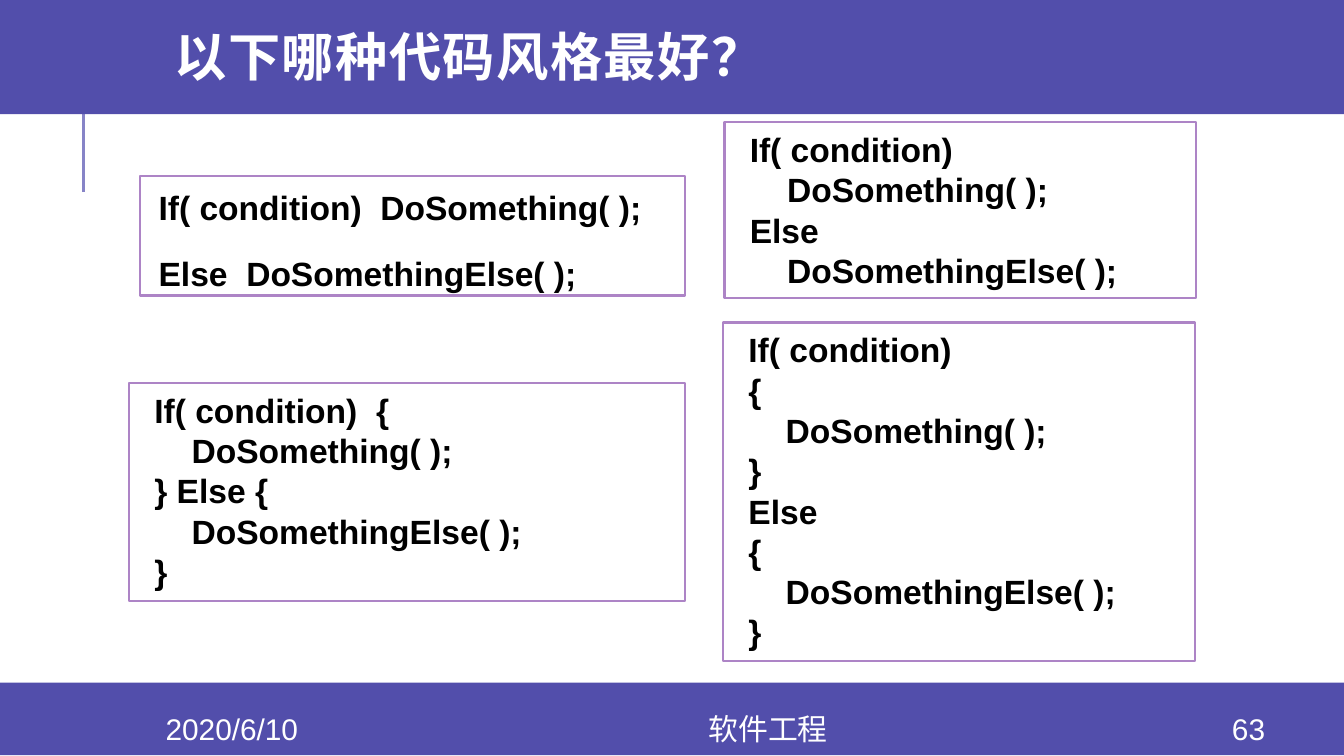
import pptx
import pptx.dml.color
import pptx.enum.shapes
import pptx.enum.text
import pptx.util
from lxml import etree
from pptx.util import Inches

COLORS = {"band": "524EAB", "rule": "8784C7", "border": "AD84C6",
          "paper": "FFFFFF", "code": "000000"}
ALIGN = pptx.enum.text.PP_ALIGN
ANCHOR = pptx.enum.text.MSO_ANCHOR
AUTO_SIZE = pptx.enum.text.MSO_AUTO_SIZE
SHAPE = pptx.enum.shapes.MSO_SHAPE
CONNECTOR = pptx.enum.shapes.MSO_CONNECTOR
DRAWING = "http://schemas.openxmlformats.org/drawingml/2006/main"


def rgb(name):
    return pptx.dml.color.RGBColor.from_string(COLORS[name])


def apply_format(target, values):
    for name, value in values.items():
        setattr(target, name, value)


def write_paragraph(paragraph, text, size, color, bold=False, font="Arial", **layout):
    run = paragraph.add_run()
    run.text = text
    apply_format(paragraph, layout)
    apply_format(run.font, {"name": font, "size": pptx.util.Pt(size), "bold": bold})
    run.font.color.rgb = rgb(color)
    return run


def add_rectangle(slide, box, fill, border=None):
    shape = slide.shapes.add_shape(SHAPE.RECTANGLE, *map(Inches, box))
    shape.shadow.inherit = False
    shape.fill.solid()
    shape.fill.fore_color.rgb = rgb(fill)
    if border:
        shape.line.color.rgb = rgb(border)
        shape.line.width = pptx.util.Pt(1.25)
    else:
        shape.line.fill.background()
    return shape


def add_accent_rule(slide, x, top, bottom):
    rule = slide.shapes.add_connector(
        CONNECTOR.STRAIGHT, Inches(x), Inches(bottom), Inches(x), Inches(top))
    rule.line.color.rgb = rgb("rule")
    rule.line.width = pptx.util.Pt(1.5)
    etree.SubElement(rule.element.spPr, f"{{{DRAWING}}}effectLst")


def add_header(slide, box, text):
    left, top, width, height = box
    add_rectangle(slide, box, "band")
    title = slide.shapes.title
    title.element.getparent().append(title.element)
    apply_format(title, {"left": Inches(left + 1.2), "top": Inches(top + 0.03),
                         "width": Inches(width - 1.51), "height": Inches(height + 0.03)})
    apply_format(title.text_frame, {"vertical_anchor": ANCHOR.MIDDLE, "word_wrap": True,
                                    "auto_size": AUTO_SIZE.NONE})
    run = write_paragraph(title.text_frame.paragraphs[0], text, 28, "paper", True,
                          "Montserrat", alignment=ALIGN.LEFT, line_spacing=0.8)
    run._r.get_or_add_rPr().set("spc", "80")


def add_footer(slide, box, fields):
    left, top, width, height = box
    add_rectangle(slide, box, "band")
    for offset, field_width, text in fields:
        field = slide.shapes.add_textbox(Inches(left + offset), Inches(top + 0.23),
                                         Inches(field_width), Inches(0.23))
        apply_format(field.text_frame, {"word_wrap": True, "vertical_anchor": ANCHOR.MIDDLE})
        write_paragraph(field.text_frame.paragraphs[0], text, 16, "paper",
                        alignment=ALIGN.CENTER)


def add_code_box(slide, box, lines, frame_format, paragraph_format, gap=0):
    frame = add_rectangle(slide, box, "paper", "border").text_frame
    apply_format(frame, {"word_wrap": True, "vertical_anchor": ANCHOR.TOP, **frame_format})
    for index, line in enumerate(lines):
        paragraph = frame.add_paragraph() if index else frame.paragraphs[0]
        properties = paragraph._p.get_or_add_pPr()
        properties.set("marL", str(Inches(0.09)))
        properties.set("indent", "0")
        write_paragraph(paragraph, line, 18, "code", True, **paragraph_format)
        if index and gap:
            paragraph.space_before = pptx.util.Pt(gap)


def build_slide(presentation):
    slide = presentation.slides.add_slide(presentation.slide_layouts[5])
    add_accent_rule(slide, 0.62, 0.68, 1.43)
    add_footer(slide, (0, 5.08, 10, 0.54),
               [(0.84, 1.77, "2020/6/10"), (2.61, 6.21, "软件工程"), (8.89, 0.8, "63")])
    add_header(slide, (0, -0.03, 10, 0.88), "以下哪种代码风格最好？")

    margins = ("margin_left", "margin_top", "margin_right", "margin_bottom")
    add_code_box(slide, (1.04, 1.31, 4.06, 0.89),
                 ["If( condition)  DoSomething( );", "Else  DoSomethingElse( );"],
                 dict.fromkeys(margins, Inches(0.05)),
                 {"alignment": ALIGN.JUSTIFY, "line_spacing": 1.1}, gap=12)

    first, second = "    DoSomething( );", "    DoSomethingElse( );"
    samples = [
        ((0.96, 2.85, 4.14, 1.62), ["If( condition)  {", first, "} Else {", second, "}"]),
        ((5.38, 2.4, 3.51, 2.52),
         ["If( condition)", "{", first, "}", "Else", "{", second, "}"]),
        ((5.39, 0.91, 3.51, 1.31), ["If( condition)", first, "Else", second]),
    ]
    for box, lines in samples:
        add_code_box(slide, box, lines, {"auto_size": AUTO_SIZE.SHAPE_TO_FIT_TEXT},
                     {"alignment": ALIGN.LEFT})


def main():
    presentation = pptx.Presentation()
    width = Inches(10)
    apply_format(presentation, {"slide_width": width, "slide_height": width * 9 // 16})
    build_slide(presentation)
    presentation.save("out.pptx")


if __name__ == "__main__":
    main()
